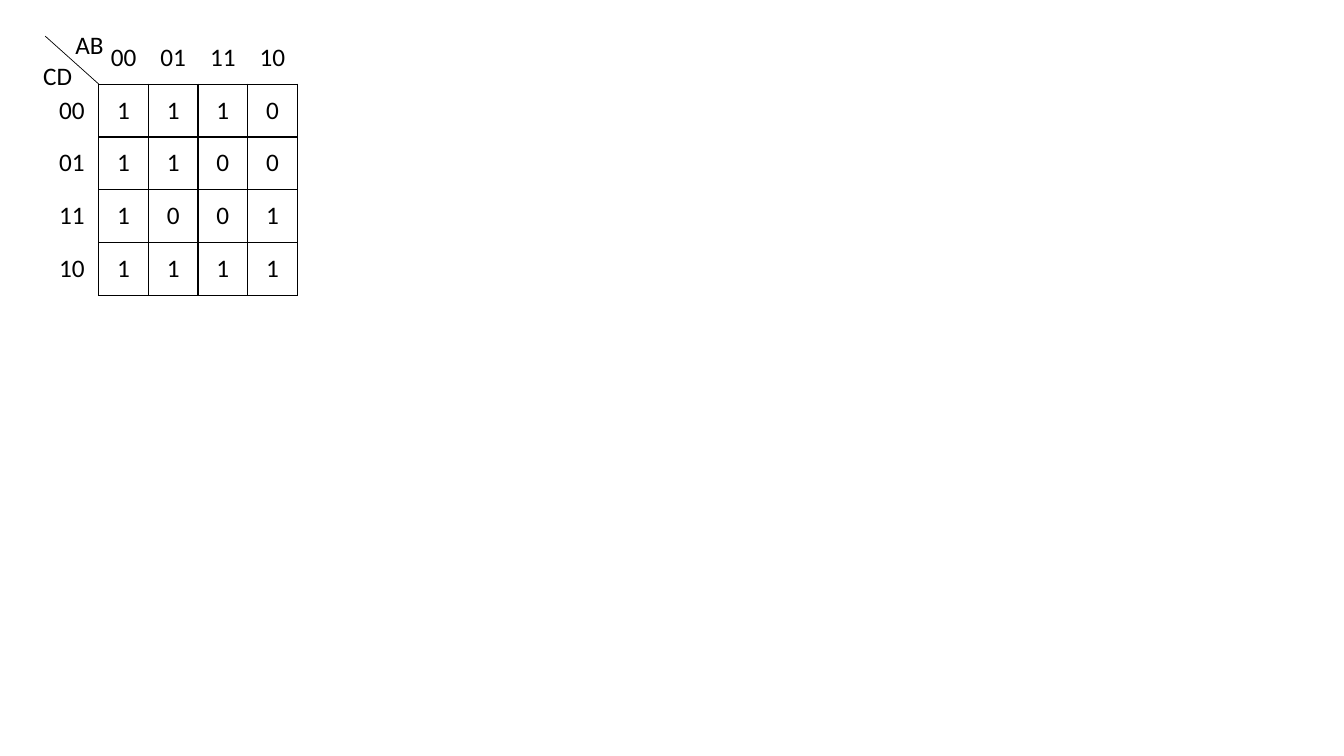
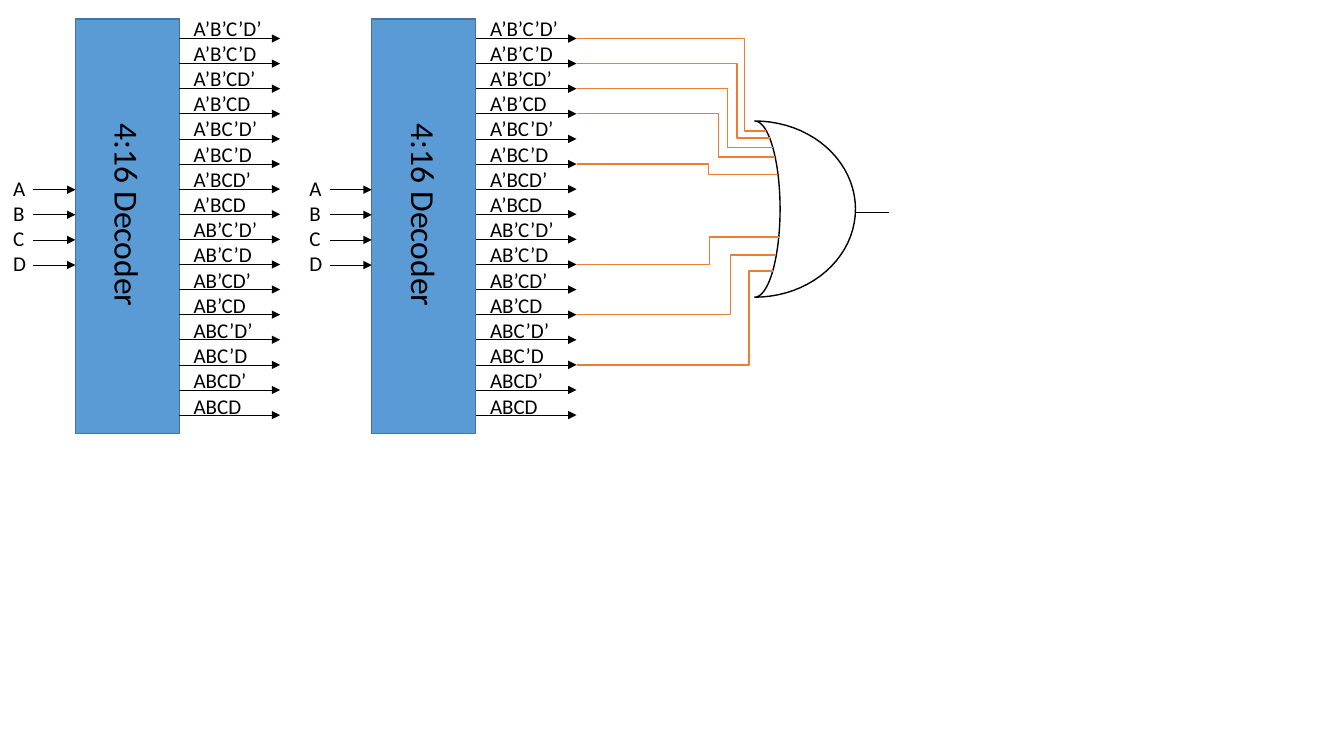
from itertools import product
from math import cos, pi, sin, sqrt

from lxml.etree import SubElement
from pptx import Presentation
from pptx.dml.color import RGBColor
from pptx.enum.shapes import MSO_CONNECTOR, MSO_SHAPE
from pptx.enum.text import MSO_ANCHOR, PP_ALIGN
from pptx.oxml.ns import qn
from pptx.util import Cm, Pt

# Shared style, lengths in centimetres
FONT = "Calibri"
BLACK, WHITE, BLUE, DARK_BLUE, ORANGE = "000000", "FFFFFF", "5B9BD5", "43739E", "ED7D31"
NO_MARGINS = {"margin_left": 0, "margin_top": 0, "margin_right": 0, "margin_bottom": 0}

# Karnaugh map
GRAY_CODE = ["00", "01", "11", "10"]
MAP_ROWS = ["1110", "1100", "1001", "1111"]
MAP_LEFT, MAP_TOP, ROW_HEIGHT = 1.14, 0.79, 1.33
LABEL_WIDTH, CELL_WIDTH = 1.35, 1.25

# Decoder, measured from the slide's left edge
INPUTS = "ABCD"
MINTERMS = ["".join(letter + mark for letter, mark in zip(INPUTS, marks))
            for marks in product(("’", ""), repeat=4)]
BOX_LEFT, BOX_TOP, BOX_WIDTH, BOX_HEIGHT = 1.9, 0.48, 2.62, 10.44
BOX_RIGHT = BOX_LEFT + BOX_WIDTH
ARROW_LENGTH = 2.54
FIRST_OUTPUT, LAST_OUTPUT, FIRST_INPUT = 0.97, 10.46, 4.78
PITCH = (LAST_OUTPUT - FIRST_OUTPUT) / (len(MINTERMS) - 1)
SECOND_DECODER = 7.47

# OR gate: two half ellipses with the same tips
GATE_LEFT, GATE_MIDDLE, GATE_HALF = 19.02, 5.27, 2.22
BACK_DEPTH, FRONT_DEPTH = 0.64, 2.54
# Minterm index: (x of the bend, y at the gate)
WIRES = {0: (18.77, 3.3), 1: (18.57, 3.48), 2: (18.34, 3.71), 3: (18.11, 3.96),
         5: (17.86, 4.39), 9: (17.88, 5.97), 11: (18.42, 6.43), 13: (18.87, 6.83)}


def color(hex_code):
    return RGBColor.from_string(hex_code)


def apply_format(target, values):
    for name, value in values.items():
        setattr(target, name, value)


def write(para, text, size):
    span = para.add_run()
    span.text = text
    apply_format(span.font, {"name": FONT, "size": Pt(size)})
    span.font.color.rgb = color(BLACK)


def add_text(page, left, top, width, height, lines, size, margins=NO_MARGINS, rotation=0):
    box = page.shapes.add_textbox(Cm(left), Cm(top), Cm(width), Cm(height))
    box.rotation = rotation
    frame = box.text_frame
    apply_format(frame, {"word_wrap": True, **margins})
    for index, line in enumerate(lines):
        write(frame.add_paragraph() if index else frame.paragraphs[0], line, size)


def set_line(line, hex_code, width):
    line.color.rgb = color(hex_code)
    line.width = Pt(width)


def add_line(page, start, end, hex_code=BLACK, width=0.5, arrow=False, kind=MSO_CONNECTOR.STRAIGHT):
    line = page.shapes.add_connector(kind, *(Cm(value) for value in (*start, *end)))
    set_line(line.line, hex_code, width)
    properties = line._element.spPr
    if arrow:
        SubElement(properties.find(qn("a:ln")), qn("a:tailEnd"), type="triangle")
    SubElement(properties, qn("a:effectLst"))
    return line


def add_wire(page, start, bend, end):
    wire = add_line(page, start, end, ORANGE, 1, kind=MSO_CONNECTOR.ELBOW)
    share = (bend - start[0]) / (end[0] - start[0])
    guides = wire._element.spPr.find(qn("a:prstGeom")).find(qn("a:avLst"))
    SubElement(guides, qn("a:gd"), name="adj1", fmla=f"val {round(share * 100000)}")


def set_borders(cell, edges):
    properties = cell._tc.get_or_add_tcPr()
    for edge in "LRTB":
        border = SubElement(properties, qn(f"a:ln{edge}"), w=str(Pt(1)))
        if edge in edges:
            fill = SubElement(border, qn("a:solidFill"))
            SubElement(fill, qn("a:srgbClr"), val=BLACK)
        else:
            SubElement(border, qn("a:noFill"))


def add_map_table(page):
    rows = [["", *GRAY_CODE]] + [[code, *bits] for code, bits in zip(GRAY_CODE, MAP_ROWS)]
    widths = [LABEL_WIDTH] + [CELL_WIDTH] * len(GRAY_CODE)
    table = page.shapes.add_table(len(rows), len(widths), Cm(MAP_LEFT), Cm(MAP_TOP),
                                  Cm(sum(widths)), Cm(ROW_HEIGHT * len(rows))).table
    apply_format(table, {"first_row": False, "horz_banding": False})
    for column, width in zip(table.columns, widths):
        column.width = Cm(width)
    for row, texts in enumerate(rows):
        table.rows[row].height = Cm(ROW_HEIGHT)
        for column, text in enumerate(texts):
            cell = table.cell(row, column)
            apply_format(cell, {"vertical_anchor": MSO_ANCHOR.MIDDLE, **NO_MARGINS})
            # Labels keep only the edge that they share with the grid
            set_borders(cell, {(True, True): "LRTB", (True, False): "R",
                               (False, True): "B", (False, False): ""}[row > 0, column > 0])
            cell.fill.solid()
            cell.fill.fore_color.rgb = color(WHITE)
            if text:
                para = cell.text_frame.paragraphs[0]
                para.alignment = PP_ALIGN.CENTER
                write(para, text, 18)


def add_decoder(page, shift):
    left, right = BOX_LEFT + shift, BOX_RIGHT + shift
    box = page.shapes.add_shape(MSO_SHAPE.RECTANGLE, Cm(left), Cm(BOX_TOP),
                                Cm(BOX_WIDTH), Cm(BOX_HEIGHT))
    box.shadow.inherit = False
    box.fill.solid()
    box.fill.fore_color.rgb = color(BLUE)
    set_line(box.line, DARK_BLUE, 1)
    add_text(page, 0.38 + shift, 5.08, 5.69, 1.27, ["4:16 Decoder"], 24, {}, 90)
    # Outputs and inputs
    for index in range(len(MINTERMS)):
        y = FIRST_OUTPUT + index * PITCH
        add_line(page, (right, y), (right + ARROW_LENGTH, y), arrow=True)
    for index in range(len(INPUTS)):
        y = FIRST_INPUT + index * PITCH
        add_line(page, (0.84 + shift, y), (left, y), arrow=True)
    add_text(page, 0.33 + shift, 4.42, 0.51, 2.57, INPUTS, 15)
    add_text(page, 4.88 + shift, 0.38, 1.83, 10.26, MINTERMS, 15)


def arc_points(depth, steps=40):
    angles = [pi * (step / steps - 0.5) for step in range(steps + 1)]
    return [(Cm(GATE_LEFT + depth * cos(angle)), Cm(GATE_MIDDLE + GATE_HALF * sin(angle)))
            for angle in angles]


def add_gate(page):
    front, back = arc_points(FRONT_DEPTH), arc_points(BACK_DEPTH)
    builder = page.shapes.build_freeform(*front[0])
    builder.add_line_segments(front[1:] + back[-2::-1], close=True)
    gate = builder.convert_to_shape()
    gate.shadow.inherit = False
    gate.fill.background()
    set_line(gate.line, BLACK, 1)
    add_line(page, (GATE_LEFT + FRONT_DEPTH, 5.36), (22.4, 5.36), width=1)


def add_gate_wires(page):
    start_x = BOX_RIGHT + SECOND_DECODER + ARROW_LENGTH
    for index, (bend, y) in WIRES.items():
        end_x = GATE_LEFT + BACK_DEPTH * sqrt(1 - ((y - GATE_MIDDLE) / GATE_HALF) ** 2)
        add_wire(page, (start_x, FIRST_OUTPUT + index * PITCH), bend, (end_x, y))


def build_map_page(page):
    add_map_table(page)
    add_line(page, (MAP_LEFT + LABEL_WIDTH, MAP_TOP + ROW_HEIGHT), (MAP_LEFT, 0.91))
    add_text(page, 1.09, 1.52, 0.86, 0.76, ["CD"], 18)
    add_text(page, 1.9, 0.74, 0.86, 0.76, ["AB"], 18)


def build_decoder_page(page):
    for shift in (0, SECOND_DECODER):
        add_decoder(page, shift)
    add_gate(page)
    add_gate_wires(page)


def main():
    deck = Presentation()
    apply_format(deck, {"slide_width": Cm(33.87), "slide_height": Cm(19.05)})
    for build in (build_map_page, build_decoder_page):
        build(deck.slides.add_slide(deck.slide_layouts[6]))
    deck.save("out.pptx")


if __name__ == "__main__":
    main()
